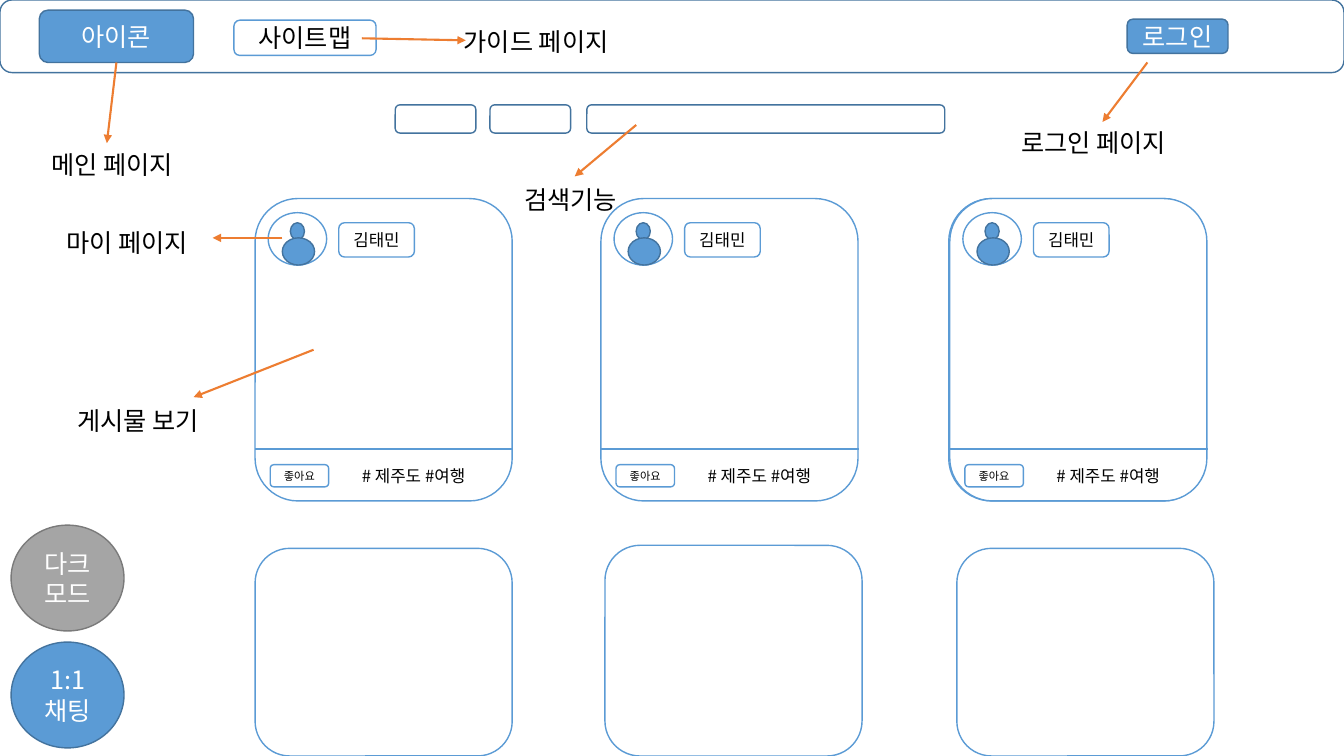
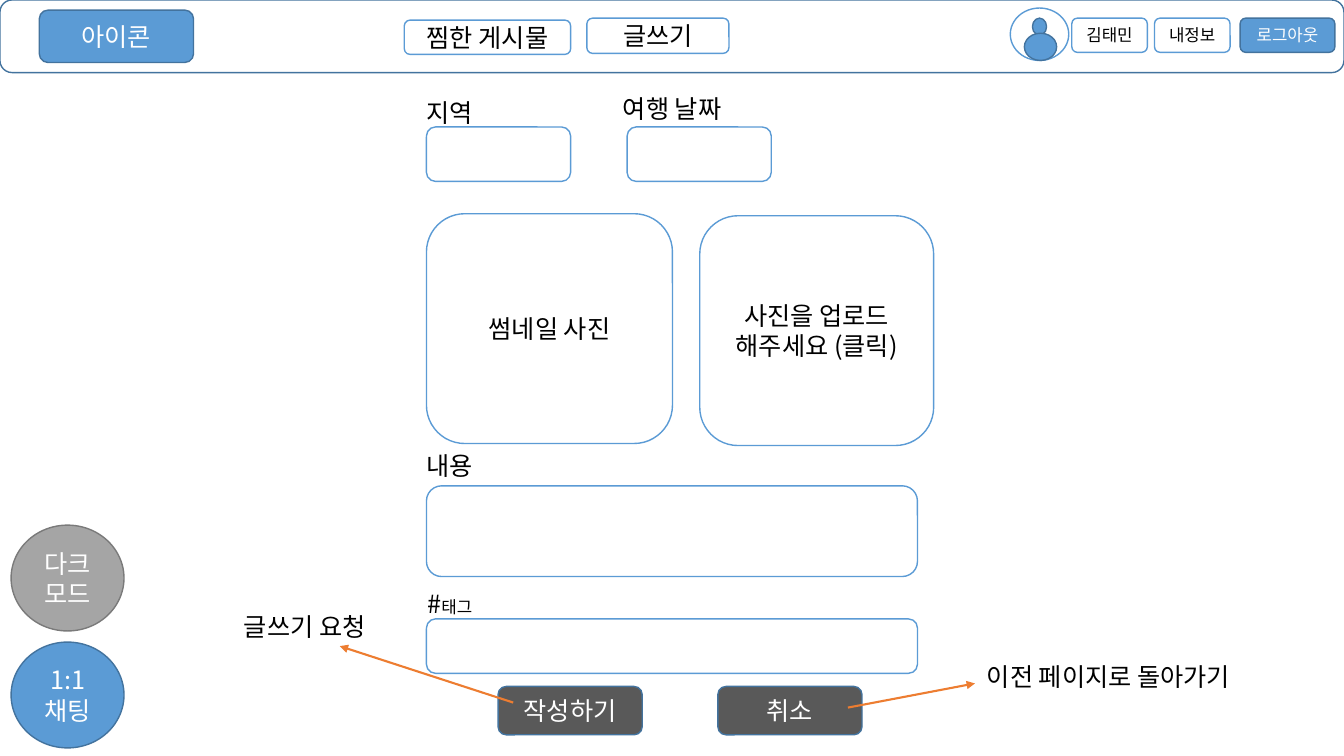
from pptx import Presentation
from pptx.dml.color import RGBColor
from pptx.enum.shapes import MSO_CONNECTOR, MSO_SHAPE
from pptx.enum.text import MSO_ANCHOR, MSO_AUTO_SIZE, PP_ALIGN
from pptx.oxml.ns import qn
from pptx.util import Inches, Pt
from lxml import etree

ROUNDED = MSO_SHAPE.ROUNDED_RECTANGLE
OVAL = MSO_SHAPE.OVAL
STRAIGHT = MSO_CONNECTOR.STRAIGHT
CENTER = PP_ALIGN.CENTER
MIDDLE = MSO_ANCHOR.MIDDLE
FIT_SHAPE = MSO_AUTO_SIZE.SHAPE_TO_FIT_TEXT

FONT = "Noto Sans CJK KR"
BLACK, WHITE = "000000", "FFFFFF"
BLUE, NAVY, ORANGE = "5B9BD5", "43739E", "ED7D31"
TOP, BOTTOM = 0, 2

STYLES = {
    "bar": (ROUNDED, WHITE, NAVY, BLACK),
    "box": (ROUNDED, WHITE, BLUE, BLACK),
    "button": (ROUNDED, BLUE, NAVY, WHITE),
    "dark button": (ROUNDED, "595959", NAVY, WHITE),
    "ring": (OVAL, WHITE, BLUE, BLACK),
    "disc": (OVAL, BLUE, NAVY, WHITE),
    "gray disc": (OVAL, "A5A5A5", "7A7A7A", WHITE),
}

HEADER = ("bar", "", 0, 0, 13.33, 0.72, 18)
HOME_ICON = ("button", "아이콘", 0.39, 0.1, 1.53, 0.52, 18)
FLOATING_BUTTONS = [
    ("disc", "1:1 채팅", 0.11, 6.37, 1.12, 1.05, 18),
    ("gray disc", "다크모드", 0.11, 5.21, 1.12, 1.05, 18),
]

FEED_SHAPES = [
    ("button", "로그인", 11.18, 0.19, 1, 0.34, 18),
    ("box", "사이트맵", 2.32, 0.2, 1.41, 0.35, 18),
    ("bar", "", 3.92, 1.04, 0.8, 0.28, 18),
    ("bar", "", 4.86, 1.04, 0.8, 0.28, 18),
    ("bar", "", 5.82, 1.04, 3.55, 0.28, 18),
    ("box", "", 2.53, 5.44, 2.55, 2.06, 18),
    ("box", "", 6, 5.41, 2.55, 2.09, 18),
    ("box", "", 9.49, 5.44, 2.55, 2.06, 18),
]
CARD_TOP = 1.97
CARD_LEFTS = [2.53, 5.96, 9.42]
BACK_CARD_LEFT = 9.41
FEED_LABELS = [
    ("메인 페이지", 0.41, 1.43, 1.55),
    ("마이 페이지", 0.56, 2.21, 1.55),
    ("게시물 보기", 0.67, 3.97, 1.55),
    ("검색기능", 5.1, 1.78, 1.21),
    ("가이드 페이지", 4.5, 0.21, 1.81),
]
LOGIN_LABEL = ("로그인 페이지", 10.03, 1.21, 1.81)
HOME_ARROW = (1.15, 0.62, 1.06, 1.42)
LOGIN_ARROW = (11.38, 0.62, 10.94, 1.21)
FEED_ARROWS = [
    (2.8, 2.36, 2.11, 2.36),
    (3.11, 3.47, 1.92, 3.94),
    (6.31, 1.24, 5.7, 1.75),
    (3.59, 0.38, 4.62, 0.4),
]

WRITE_SHAPES = [
    ("button", "로그아웃", 12.3, 0.18, 0.94, 0.34, 12),
    ("box", "찜한 게시물", 4.01, 0.2, 1.65, 0.34, 18),
    ("box", "글쓰기", 5.82, 0.18, 1.41, 0.35, 18),
    ("box", "김태민", 10.63, 0.18, 0.75, 0.34, 12),
    ("box", "내정보", 11.45, 0.18, 0.75, 0.34, 12),
    ("box", "", 4.23, 1.26, 1.43, 0.54, 18),
    ("box", "", 6.22, 1.26, 1.43, 0.54, 18),
    ("box", "썸네일 사진", 4.23, 2.12, 2.44, 2.28, 18),
    ("box", "사진을 업로드 해주세요 (클릭)", 6.94, 2.14, 2.32, 2.28, 18),
    ("box", "", 4.23, 4.82, 4.87, 0.9, 18),
    ("box", "", 4.23, 6.14, 4.87, 0.54, 18),
    ("dark button", "작성하기", 4.94, 6.81, 1.43, 0.48, 18),
    ("dark button", "취소", 7.12, 6.81, 1.43, 0.48, 18),
]
WRITE_LABELS = [
    ("지역", 4.13, 0.92, 0.71),
    ("여행 날짜", 6.08, 0.88, 1.3),
    ("내용", 4.13, 4.42, 0.71),
    ("글쓰기 요청", 2.32, 6.02, 1.55),
    ("이전 페이지로 돌아가기", 9.69, 6.51, 2.91),
]
TAG_LABEL = ("#", 4.14, 5.79, 0.69)
WRITE_ARROWS = [(5.09, 6.97, 3.37, 6.41), (8.41, 7.02, 9.67, 6.78)]


def color(value):
    """Turn a hex string into a colour."""
    return RGBColor.from_string(value)


def set_text(shape, text, size, text_color):
    """Write one paragraph and set its font."""
    paragraph = shape.text_frame.paragraphs[0]
    paragraph.text = text
    paragraph.font.name = FONT
    paragraph.font.size = Pt(size)
    paragraph.font.color.rgb = color(text_color)
    properties = paragraph._p.pPr.find(qn("a:defRPr"))
    latin = properties.find(qn("a:latin"))
    east_asian = etree.Element(qn("a:ea"), typeface=FONT)
    latin.addnext(east_asian)
    return paragraph


def add_box(slide, style, text, left, top, width, height, size=18):
    """Draw a styled shape with centred text."""
    preset, fill, line, text_color = STYLES[style]
    shape = slide.shapes.add_shape(
        preset, Inches(left), Inches(top), Inches(width), Inches(height))
    shape.shadow.inherit = False
    shape.fill.solid()
    shape.fill.fore_color.rgb = color(fill)
    shape.line.color.rgb = color(line)
    shape.line.width = Pt(1)
    if text:
        shape.text_frame.vertical_anchor = MIDDLE
        set_text(shape, text, size, text_color).alignment = CENTER
    return shape


def add_label(slide, text, left, top, width, height=0.4, size=18):
    """Add an unwrapped text label."""
    label = slide.shapes.add_textbox(
        Inches(left), Inches(top), Inches(width), Inches(height))
    label.text_frame.word_wrap = False
    label.text_frame.auto_size = FIT_SHAPE
    set_text(label, text, size, BLACK)
    return label


def add_line(slide, start_x, start_y, end_x, end_y, line_color):
    """Draw a straight line without shadow."""
    line = slide.shapes.add_connector(
        STRAIGHT, Inches(start_x), Inches(start_y), Inches(end_x), Inches(end_y))
    line.line.color.rgb = color(line_color)
    line.line.width = Pt(1.5)
    etree.SubElement(line._element.spPr, qn("a:effectLst"))
    return line


def add_arrow(slide, points):
    """Draw an orange annotation arrow."""
    arrow = add_line(slide, *points, ORANGE)
    etree.SubElement(arrow.line._get_or_add_ln(), qn("a:tailEnd"), type="triangle")
    return arrow


def add_avatar(slide, left, top):
    """Draw a ringed user figure."""
    add_box(slide, "ring", "", left, top, 0.58, 0.52)
    add_box(slide, "disc", "", left + 0.22, top + 0.1, 0.14, 0.17)
    add_box(slide, "disc", "", left + 0.14, top + 0.25, 0.32, 0.27)


def add_card_frame(slide, left):
    """Draw a post outline and its divider."""
    add_box(slide, "box", "", left, CARD_TOP, 2.55, 3)
    divider = CARD_TOP + 2.48
    add_line(slide, left, divider, left + 2.56, divider, BLUE)


def add_card(slide, left):
    """Draw a post with author, like button and tags."""
    add_card_frame(slide, left)
    add_avatar(slide, left + 0.13, CARD_TOP + 0.14)
    add_box(slide, "box", "김태민", left + 0.83, CARD_TOP + 0.24, 0.75, 0.34, 12)
    add_box(slide, "box", "좋아요", left + 0.15, CARD_TOP + 2.64, 0.58, 0.22, 8)
    add_label(slide, "# 제주도 #여행", left + 0.96, CARD_TOP + 2.6, 1.37, 0.3, 12)


def start_page(presentation, shapes):
    """Add a slide with the shared header, buttons and its own shapes."""
    slide = presentation.slides.add_slide(presentation.slide_layouts[6])
    add_box(slide, *HEADER)
    home_icon = add_box(slide, *HOME_ICON)
    for item in FLOATING_BUTTONS + shapes:
        add_box(slide, *item)
    return slide, home_icon


def annotate(slide, labels, arrows):
    """Add the labels and arrows of a page."""
    for label in labels:
        add_label(slide, *label)
    for points in arrows:
        add_arrow(slide, points)


def build_feed(presentation):
    """Build the main page with its post cards."""
    slide, home_icon = start_page(presentation, FEED_SHAPES)
    add_card_frame(slide, BACK_CARD_LEFT)
    for left in CARD_LEFTS:
        add_card(slide, left)
    annotate(slide, FEED_LABELS, FEED_ARROWS)
    add_arrow(slide, HOME_ARROW).begin_connect(home_icon, BOTTOM)
    login_label = add_label(slide, *LOGIN_LABEL)
    add_arrow(slide, LOGIN_ARROW).end_connect(login_label, TOP)


def build_write(presentation):
    """Build the page for writing a post."""
    slide, _ = start_page(presentation, WRITE_SHAPES)
    add_avatar(slide, 10.02, 0.08)
    annotate(slide, WRITE_LABELS, WRITE_ARROWS)
    tag_label = add_label(slide, *TAG_LABEL)
    tag_run = tag_label.text_frame.paragraphs[0].add_run()
    tag_run.text = "태그"
    tag_run.font.size = Pt(12)


def main():
    """Build and save the presentation."""
    presentation = Presentation()
    presentation.slide_width = Inches(13.33)
    presentation.slide_height = Inches(7.5)
    build_feed(presentation)
    build_write(presentation)
    presentation.save("out.pptx")


if __name__ == "__main__":
    main()
